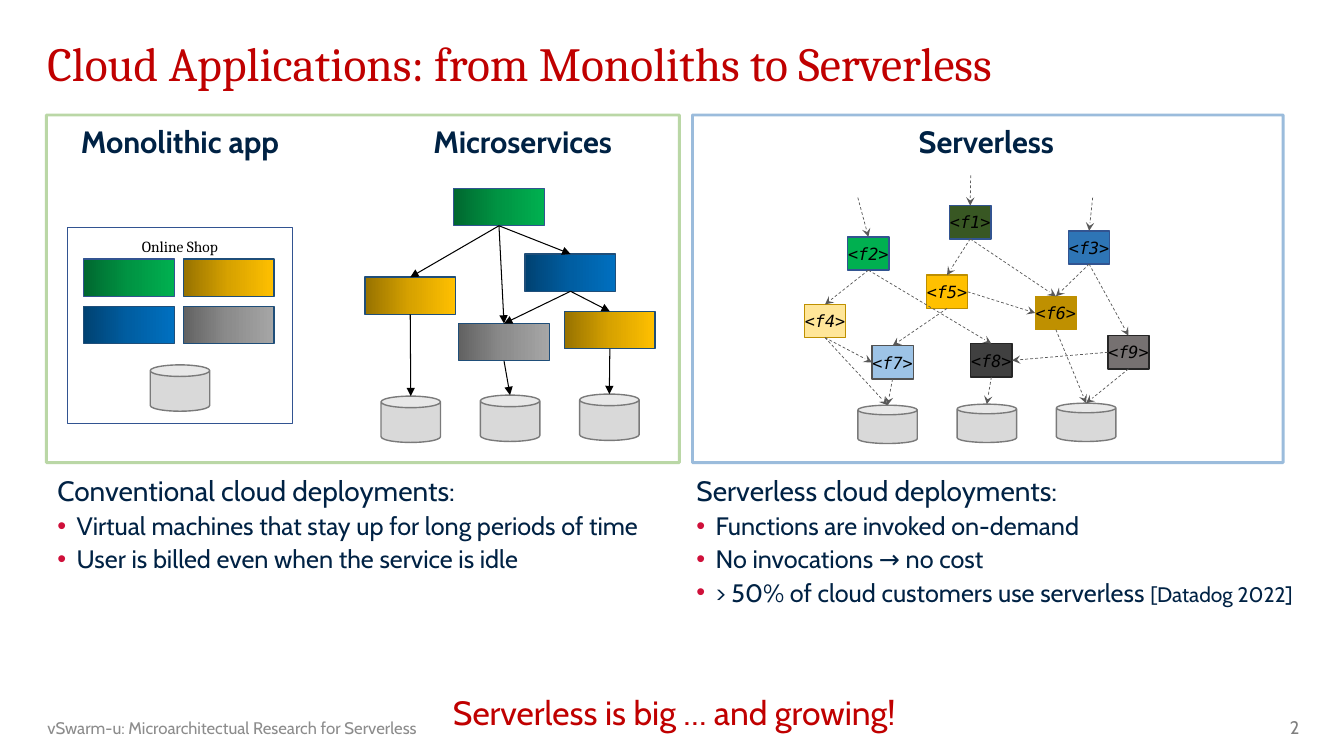
from copy import deepcopy

from lxml.etree import SubElement
from pptx import Presentation
from pptx.dml.color import RGBColor
from pptx.enum.dml import MSO_LINE
from pptx.enum.shapes import MSO_CONNECTOR, MSO_SHAPE
from pptx.enum.text import MSO_ANCHOR, PP_ALIGN
from pptx.oxml.ns import qn
from pptx.util import Inches, Pt

# The grid has ten columns and ten rows to the inch.
COLS, ROWS = 133.33, 75
NAVY, RED, BLACK = "002244", "C00000", "000000"
TOP, LEFT, BOTTOM, RIGHT = range(4)
SIDES = [(0.5, 0), (0, 0.5), (0.5, 1), (1, 0.5)]
TILES = {
    "green": ("00682F", "009443", "00B050", "325491"),
    "gold": ("977200", "D7A200", "FFC000", "1F4E79"),
    "blue": ("004272", "005EA2", "0070C0", "1F4E79"),
    "gray": ("626262", "8C8C8C", "A6A6A6", "1F4E79"),
}
FUNCS = {
    "f1": (94.2, 20.4, "385723", "325491"),
    "f2": (84.1, 23.5, "00B050", "325491"),
    "f3": (106, 22.9, "2E75B6", "325491"),
    "f4": (79.8, 30.2, "FFE699", "BF9000"),
    "f5": (91.9, 27.3, "FFC000", "BD8E00"),
    "f6": (102.7, 29.4, "BF9000", "BF9000"),
    "f7": (86.5, 34.3, "9DC3E6", "525252"),
    "f8": (96.3, 34.1, "404040", "262626"),
    "f9": (109.9, 33.3, "767171", "262626"),
}
CALLS = [
    ("f2", BOTTOM, "f4", TOP), ("f2", BOTTOM, "f8", TOP),
    ("f1", BOTTOM, "f6", TOP), ("f1", BOTTOM, "f5", TOP),
    ("f3", BOTTOM, "f6", TOP), ("f3", BOTTOM, "f9", TOP),
    ("f5", RIGHT, "f6", LEFT), ("f5", BOTTOM, "f7", TOP),
    ("f4", BOTTOM, "f7", LEFT), ("f9", LEFT, "f8", RIGHT),
    ("f4", BOTTOM, "db1", TOP), ("f7", BOTTOM, "db1", TOP),
    ("f8", BOTTOM, "db2", TOP), ("f6", BOTTOM, "db3", TOP),
    ("f9", BOTTOM, "db3", TOP),
]
ENTRIES = {"f1": (96.3, 17.4), "f2": (85.1, 19.6), "f3": (108.4, 19.6)}
SERVICES = {
    "front": (45, 18.7, "green"),
    "cart": (36.2, 27.5, "gold"),
    "pay": (52.1, 25.2, "blue"),
    "mail": (45.5, 32.1, "gray"),
    "ship": (56, 30.9, "gold"),
}
FLOWS = [
    ("front", "cart"), ("front", "mail"), ("front", "pay"),
    ("pay", "mail"), ("pay", "ship"),
    ("cart", "db1"), ("mail", "db2"), ("ship", "db3"),
]


def grid(*cells):
    return [Inches(cell / 10) for cell in cells]


def paint(color):
    return RGBColor.from_string(color)


def style(para, size, color=NAVY, face="Cabin", bold=None, slant=None):
    font = para.font
    font.name, font.size, font.bold, font.italic = face, Pt(size), bold, slant
    font.color.rgb = paint(color)


def frame(shape, inset, anchor):
    body = shape.text_frame
    body.word_wrap, body.vertical_anchor = True, anchor
    body.margin_left = body.margin_right = Inches(inset[0])
    body.margin_top = body.margin_bottom = Inches(inset[1])
    return body


def label(slide, at, text, size, color=NAVY, face="Cabin", bold=None,
          align=PP_ALIGN.LEFT, anchor=MSO_ANCHOR.TOP, space=1.0):
    box = slide.shapes.add_textbox(*grid(*at))
    para = frame(box, (0.11, 0.06), anchor).paragraphs[0]
    para.text, para.alignment, para.line_spacing = text, align, space
    style(para, size, color, face, bold)


def bullet(para):
    props = para._p.get_or_add_pPr()
    props.set("marL", str(Inches(0.19)))
    props.set("indent", str(-Inches(0.19)))
    tint = SubElement(props, qn("a:buClr"))
    SubElement(tint, qn("a:srgbClr")).set("val", "CF103A")
    SubElement(props, qn("a:buFont")).set("typeface", "Arial")
    SubElement(props, qn("a:buChar")).set("char", "•")


def points(slide, at, head, items, cite=None):
    """Add a heading with bullets; the citation follows the last one."""
    body = frame(slide.shapes.add_textbox(*grid(*at)), (0.11, 0.06), MSO_ANCHOR.TOP)
    body.paragraphs[0].text = head
    style(body.paragraphs[0], 20)
    for item in items:
        para = body.add_paragraph()
        para.text, para.line_spacing = item, 1.1
        bullet(para)
        style(para, 18)
    if cite:
        run = para.add_run()
        run.text, run.font.size = cite, Pt(15)


def block(slide, at, line, fill=None, kind=MSO_SHAPE.RECTANGLE, width=1):
    shape = slide.shapes.add_shape(kind, *grid(*at))
    shape.shadow.inherit = False
    shape.line.color.rgb, shape.line.width = paint(line), Pt(width)
    if fill:
        shape.fill.solid()
        shape.fill.fore_color.rgb = paint(fill)
    else:
        shape.fill.background()
    return shape


def caption(shape, text, size, face, anchor, space=1.0, slant=None):
    para = frame(shape, (0, 0), anchor).paragraphs[0]
    para.text, para.alignment, para.line_spacing = text, PP_ALIGN.CENTER, space
    style(para, size, BLACK, face, slant=slant)


def panel(slide, at, color):
    """Outline an area with a half-transparent line."""
    shape = block(slide, at, color, width=2)
    tint = shape.line._ln.find(".//" + qn("a:srgbClr"))
    SubElement(tint, qn("a:alpha")).set("val", "48000")


def tile(slide, col, row, hue):
    *shades, line = TILES[hue]
    shape = block(slide, (col, row, 9, 3.7), line)
    shape.fill.gradient()
    shape.fill.gradient_angle = 0
    stops = shape._element.find(".//" + qn("a:gsLst"))
    stops.insert(1, deepcopy(stops[0]))
    for stop, shade, place in zip(shape.fill.gradient_stops, shades, (0, 0.5, 1)):
        stop.color.rgb, stop.position = paint(shade), place
    return shape


def store(slide, col, row, high):
    return block(slide, (col, row, 5.9, high), "7A7A7A", "D9D9D9", MSO_SHAPE.CAN)


def stores(slide, col, row, high):
    return {f"db{i + 1}": store(slide, col + 9.85 * i, row - 0.1 * i, high)
            for i in range(3)}


def spot(shape, side):
    across, down = SIDES[side]
    return (shape.left + int(shape.width * across),
            shape.top + int(shape.height * down))


def arrow(slide, start, end, color, width, tip, dash=None):
    line = slide.shapes.add_connector(MSO_CONNECTOR.STRAIGHT, *start, *end)
    line.line.color.rgb, line.line.width = paint(color), Pt(width)
    if dash:
        line.line.dash_style = dash
    SubElement(line.line._ln, qn("a:tailEnd")).set("type", tip)
    SubElement(line._element.spPr, qn("a:effectLst"))
    return line


def link(slide, first, out, last, into, *look):
    line = arrow(slide, spot(first, out), spot(last, into), *look)
    line.begin_connect(first, out)
    if last.auto_shape_type == MSO_SHAPE.RECTANGLE:
        line.end_connect(last, into)


def monolith(slide):
    shop = block(slide, (6.7, 22.6, 22.3, 19.4), "325491")
    caption(shop, "Online Shop", 11, "Cambria", MSO_ANCHOR.TOP, 1.5)
    for i, hue in enumerate(TILES):
        tile(slide, 8.3 + 9.9 * (i % 2), 25.7 + 4.7 * (i // 2), hue)
    store(slide, 14.9, 36.2, 4.6)


def micro(slide):
    nodes = stores(slide, 37.8, 39.3, 4.6)
    for name, spec in SERVICES.items():
        nodes[name] = tile(slide, *spec)
    for first, last in FLOWS:
        link(slide, nodes[first], BOTTOM, nodes[last], TOP, BLACK, 0.75, "triangle")


def serverless(slide):
    look = "595959", 0.5, "stealth", MSO_LINE.DASH
    nodes = stores(slide, 85.1, 40.2, 3.8)
    for name, (col, row, fill, line) in FUNCS.items():
        nodes[name] = block(slide, (col, row, 4.1, 3.3), line, fill)
        caption(nodes[name], f"<{name}>", 12, "DejaVu Sans Mono",
                MSO_ANCHOR.MIDDLE, slant=True)
    for first, out, last, into in CALLS:
        link(slide, nodes[first], out, nodes[last], into, *look)
    for name, start in ENTRIES.items():
        line = arrow(slide, grid(*start), spot(nodes[name], TOP), *look)
        line.end_connect(nodes[name], TOP)


def main():
    deck = Presentation()
    deck.slide_width, deck.slide_height = grid(COLS, ROWS)
    slide = deck.slides.add_slide(deck.slide_layouts[6])
    panel(slide, (68.7, 11.4, 58.6, 34.5), "2E75B6")
    panel(slide, (4.6, 11.4, 62.8, 34.5), "70AD47")
    label(slide, (3.6, 3.9, 119.8, 6.6), "Cloud Applications: from Monoliths to Serverless",
          34, RED, "Cambria", space=0.8)
    heads = {"Monolithic app": 5.4, "Microservices": 39.4, "Serverless": 85.4}
    for text, col in heads.items():
        label(slide, (col, 11.4, 24.9, 5.3), text, 22, bold=True,
              align=PP_ALIGN.CENTER, anchor=MSO_ANCHOR.MIDDLE)
    monolith(slide)
    micro(slide)
    serverless(slide)
    points(slide, (4.6, 46.4, 62.8, 22.5), "Conventional cloud deployments:",
           ["Virtual machines that stay up for long periods of time",
            "User is billed even when the service is idle"])
    points(slide, (68, 46.4, 62.3, 19.6), "Serverless cloud deployments:",
           ["Functions are invoked on-demand", "No invocations → no cost",
            "> 50% of cloud customers use serverless "], "[Datadog 2022]")
    label(slide, (3.6, 68, 126.6, 5.4), "Serverless is big … and growing!", 24, RED,
          align=PP_ALIGN.CENTER)
    label(slide, (3.6, 70.2, 45, 4), "vSwarm-u: Microarchitectual Research for Serverless",
          12, "8C8C8C", anchor=MSO_ANCHOR.MIDDLE)
    label(slide, (120.6, 70.5, 9.4, 3.5), "2", 13, "808080", align=PP_ALIGN.RIGHT)
    deck.save("out.pptx")


if __name__ == "__main__":
    main()
